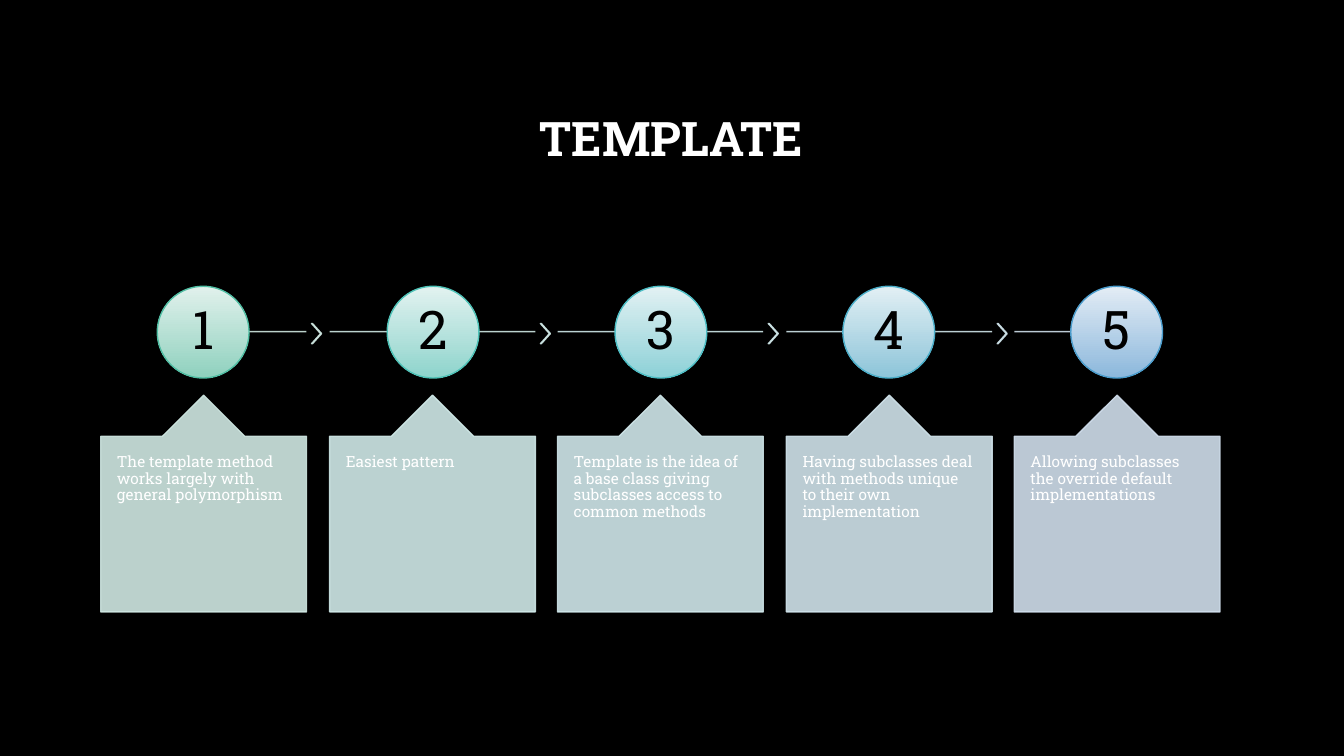
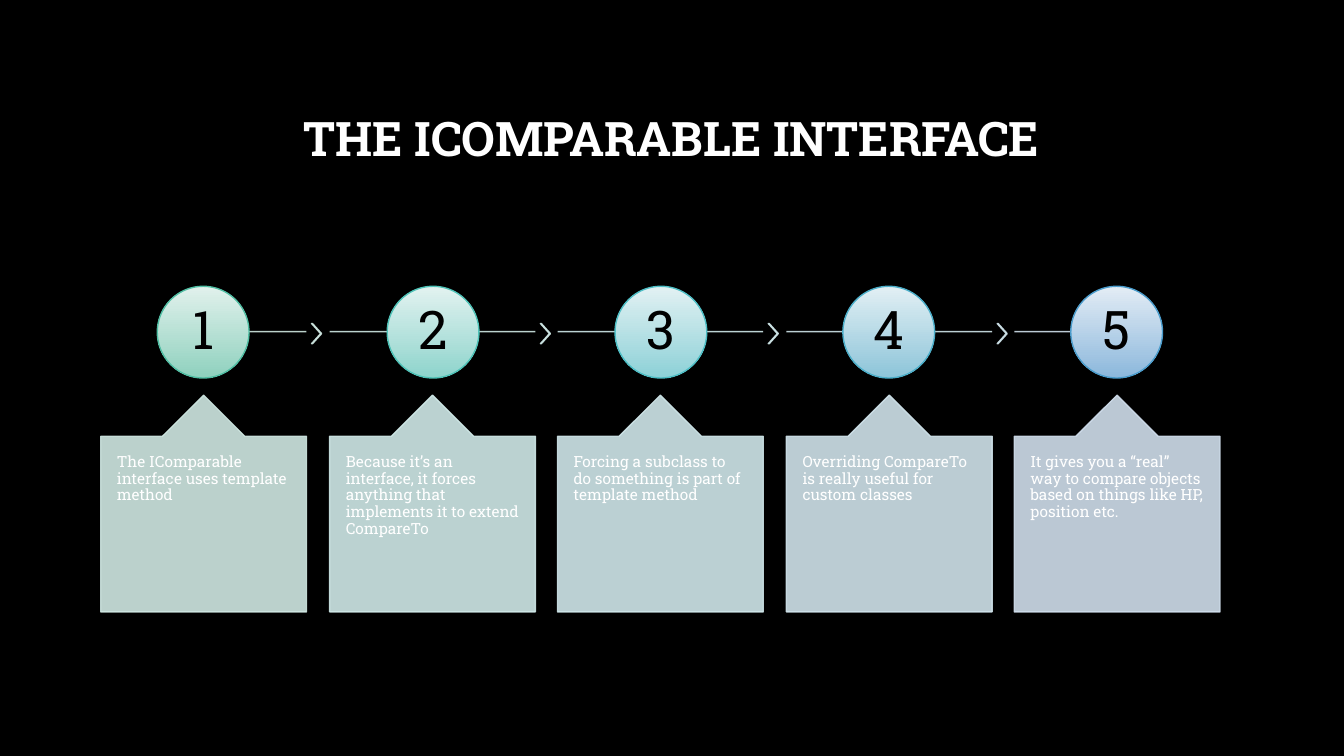
import lxml.etree
import pptx
import pptx.dml.color
import pptx.enum.shapes
import pptx.enum.text
import pptx.oxml.ns
import pptx.util

PX = 9144  # one px is a hundredth of an inch
FONT = "Roboto Slab"
BLACK, WHITE = "000000", "FFFFFF"
SHAPES = pptx.enum.shapes.MSO_SHAPE
ANCHOR = pptx.enum.text.MSO_ANCHOR
ALIGN = pptx.enum.text.PP_ALIGN

# Step grid
FIRST_LEFT, LAST_LEFT = 100, 1006
CARD_WIDTH, CARD_TOP, CARD_HEIGHT = 204, 392, 215
CIRCLE_SIZE, LINE_Y = 91, 329
CHEVRON_WIDTH, CHEVRON_HEIGHT, CHEVRON_GAP = 10, 20, 5

# Per step: line, chevron, circle top, circle bottom, circle outline, card
STEP_COLORS = [
    ("D0E8E0", "D0E8E2", "E1F1EC", "8FD1BE", "50BEA3", "D0E8E3"),
    ("D0E9E5", "D0E9E7", "E2F2F0", "8ED4CC", "4EC2B7", "D0E9E8"),
    ("D0E9EA", "D0E8EA", "E2F1F3", "8DD1D7", "4DBEC5", "D0E7EA"),
    ("D0E6EB", "D0E4EB", "E2EFF4", "8DC5D9", "4BAEC9", "D0E3EB"),
    ("D0E1EC", None, "E3ECF5", "8CB8DC", "4A9CCC", "D0DEEC"),
]

SLIDES = [
    ("TEMPLATE", [
        "The template method works largely with general polymorphism",
        "Easiest pattern",
        "Template is the idea of a base class giving subclasses access to common methods",
        "Having subclasses deal with methods unique to their own implementation",
        "Allowing subclasses the override default implementations",
    ]),
    ("THE ICOMPARABLE INTERFACE", [
        "The IComparable interface uses template method",
        "Because it’s an interface, it forces anything that implements it to extend CompareTo",
        "Forcing a subclass to do something is part of template method",
        "Overriding CompareTo is really useful for custom classes",
        "It gives you a “real” way to compare objects based on things like HP, position etc.",
    ]),
]


def rgb(color):
    return pptx.dml.color.RGBColor.from_string(color)


def box(*lengths):
    return [pptx.util.Emu(length * PX) for length in lengths]


def set_line(shape, color):
    shape.line.color.rgb = rgb(color)
    shape.line.width = pptx.util.Pt(1)


def make_translucent(shape, percent=90):
    for color in shape.element.iter(pptx.oxml.ns.qn("a:srgbClr")):
        alpha = lxml.etree.SubElement(color, pptx.oxml.ns.qn("a:alpha"))
        alpha.set("val", str(percent * 1000))


def write_text(shape, text, size, color, align, anchor, insets, bold=False):
    frame = shape.text_frame
    frame.word_wrap = True
    frame.vertical_anchor = anchor
    horizontal, vertical = box(*insets)
    frame.margin_left = frame.margin_right = horizontal
    frame.margin_top = frame.margin_bottom = vertical
    paragraph = frame.paragraphs[0]
    paragraph.text = text
    paragraph.alignment = align
    paragraph.line_spacing = 0.9
    paragraph.font.name = FONT
    paragraph.font.size = pptx.util.Pt(size)
    paragraph.font.bold = bold
    paragraph.font.color.rgb = rgb(color)


def add_title(slide, text):
    title = slide.shapes.add_textbox(*box(100, 67, 1132, 145))
    write_text(title, text, 34, WHITE, ALIGN.CENTER, ANCHOR.MIDDLE, (10, 5), bold=True)


def add_timeline(slide, left, right, color):
    line = slide.shapes.add_connector(
        pptx.enum.shapes.MSO_CONNECTOR.STRAIGHT, *box(left, LINE_Y, right, LINE_Y))
    set_line(line, color)
    make_translucent(line)
    lxml.etree.SubElement(line.element.spPr, pptx.oxml.ns.qn("a:effectLst"))


def add_shape(slide, kind, bounds, line_color):
    shape = slide.shapes.add_shape(kind, *box(*bounds))
    shape.shadow.inherit = False
    set_line(shape, line_color)
    return shape


def add_tinted_shape(slide, kind, bounds, color, adjustments):
    shape = add_shape(slide, kind, bounds, color)
    for index, value in enumerate(adjustments):
        shape.adjustments[index] = value
    shape.fill.solid()
    shape.fill.fore_color.rgb = rgb(color)
    make_translucent(shape)
    return shape


def add_number_circle(slide, center, number, top_color, bottom_color, line_color):
    left, top = round(center - CIRCLE_SIZE / 2), round(LINE_Y - CIRCLE_SIZE / 2)
    circle = add_shape(slide, SHAPES.OVAL, (left, top, CIRCLE_SIZE, CIRCLE_SIZE), line_color)
    circle.fill.gradient()
    circle.fill.gradient_angle = 270
    for stop, color in zip(circle.fill.gradient_stops, (top_color, bottom_color)):
        stop.color.rgb = rgb(color)
    write_text(circle, str(number), 38, BLACK, ALIGN.CENTER, ANCHOR.MIDDLE, (4, 4))


def add_step(slide, index, text):
    line_color, chevron_color, top_color, bottom_color, outline, card_color = STEP_COLORS[index]
    last = len(STEP_COLORS) - 1
    left = FIRST_LEFT + round(index * (LAST_LEFT - FIRST_LEFT) / last + 0.1)
    right = left + CARD_WIDTH
    center = left + CARD_WIDTH // 2

    # Line, chevron and numbered circle
    add_timeline(slide, center if index == 0 else left,
                 center if index == last else right, line_color)
    if chevron_color:
        add_tinted_shape(slide, SHAPES.CHEVRON,
                         (right + CHEVRON_GAP, 321, CHEVRON_WIDTH, CHEVRON_HEIGHT),
                         chevron_color, [0.9])
    add_number_circle(slide, center, index + 1, top_color, bottom_color, outline)

    # Card pointing up at the circle
    card = add_tinted_shape(slide, SHAPES.UP_ARROW_CALLOUT,
                            (left, CARD_TOP, CARD_WIDTH, CARD_HEIGHT),
                            card_color, [0.5, 0.2, 0.2, 1])
    write_text(card, text, 11, WHITE, ALIGN.LEFT, ANCHOR.TOP, (16, 18))


def add_process_slide(presentation, title, steps):
    slide = presentation.slides.add_slide(presentation.slide_layouts[6])
    slide.background.fill.solid()
    slide.background.fill.fore_color.rgb = rgb(BLACK)
    add_title(slide, title)
    for index, text in enumerate(steps):
        add_step(slide, index, text)


def main():
    presentation = pptx.Presentation()
    presentation.slide_width, presentation.slide_height = box(1333, 750)
    for title, steps in SLIDES:
        add_process_slide(presentation, title, steps)
    presentation.save("out.pptx")


if __name__ == "__main__":
    main()
